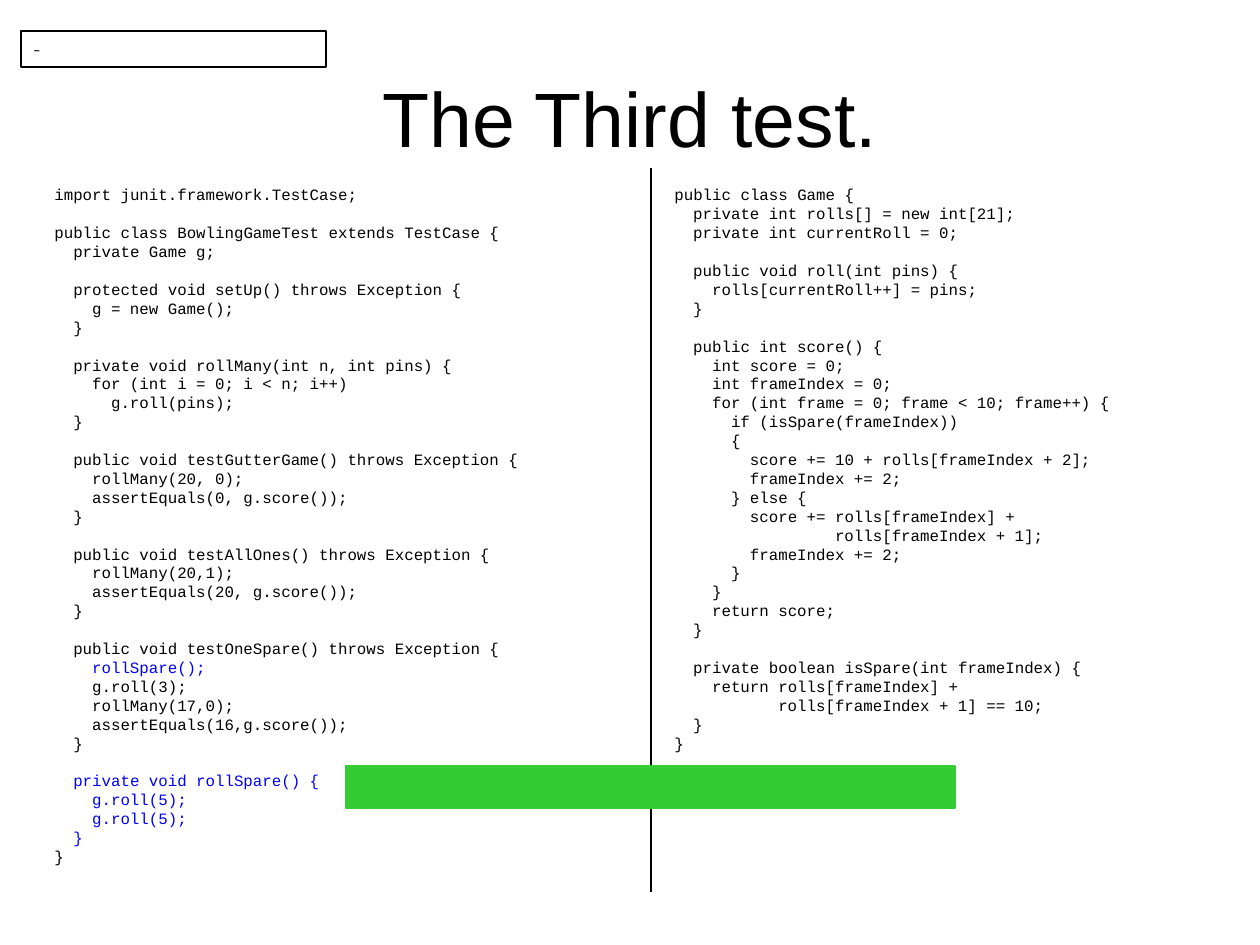
from pptx import Presentation
from pptx.dml.color import RGBColor
from pptx.enum.shapes import MSO_CONNECTOR, MSO_SHAPE
from pptx.enum.text import MSO_ANCHOR, PP_ALIGN
from pptx.oxml.ns import qn
from pptx.util import Pt
from lxml.etree import SubElement

PIXEL = 914400 // 126
CODE_SIZE = 9
CHARACTER_WIDTH = 0.6 * CODE_SIZE
LINE_HEIGHT = 1.2 * CODE_SIZE
BLUE_MARK = "*"

TEST_CODE = """import junit.framework.TestCase;

public class BowlingGameTest extends TestCase {
  private Game g;

  protected void setUp() throws Exception {
    g = new Game();
  }

  private void rollMany(int n, int pins) {
    for (int i = 0; i < n; i++)
      g.roll(pins);
  }

  public void testGutterGame() throws Exception {
    rollMany(20, 0);
    assertEquals(0, g.score());
  }

  public void testAllOnes() throws Exception {
    rollMany(20,1);
    assertEquals(20, g.score());
  }

  public void testOneSpare() throws Exception {
    *rollSpare();
    g.roll(3);
    rollMany(17,0);
    assertEquals(16,g.score());
  }

  *private void rollSpare() {
    *g.roll(5);
    *g.roll(5);
  *}
}"""

GAME_CODE = """public class Game {
  private int rolls[] = new int[21];
  private int currentRoll = 0;

  public void roll(int pins) {
    rolls[currentRoll++] = pins;
  }

  public int score() {
    int score = 0;
    int frameIndex = 0;
    for (int frame = 0; frame < 10; frame++) {
      if (isSpare(frameIndex))
      {
        score += 10 + rolls[frameIndex + 2];
        frameIndex += 2;
      } else {
        score += rolls[frameIndex] +
                 rolls[frameIndex + 1];
        frameIndex += 2;
      }
    }
    return score;
  }

  private boolean isSpare(int frameIndex) {
    return rolls[frameIndex] +
           rolls[frameIndex + 1] == 10;
  }
}"""


def color(value):
    return RGBColor.from_string(value)


def write_text(paragraph, text, font="Arial", size=18, fill="000000",
               align=PP_ALIGN.LEFT, indent=0, before=0, line_height=None):
    paragraph.alignment = align
    paragraph.space_before = Pt(before)
    if line_height:
        paragraph.line_spacing = Pt(line_height)
    if indent:
        properties = paragraph._p.get_or_add_pPr()
        properties.set("marL", str(Pt(indent)))
        properties.set("indent", "0")
    run = paragraph.add_run()
    run.text = text
    run.font.name = font
    run.font.size = Pt(size)
    run.font.color.rgb = color(fill)


presentation = Presentation()
presentation.slide_width = 1260 * PIXEL
presentation.slide_height = 945 * PIXEL
slide = presentation.slides.add_slide(presentation.slide_layouts[5])

title = slide.shapes.title
title.left, title.top, title.width, title.height = [
    value * PIXEL for value in (63, 38, 1134, 157)]
title.text_frame.vertical_anchor = MSO_ANCHOR.MIDDLE
write_text(title.text_frame.paragraphs[0], "The Third test.", size=44,
           align=PP_ALIGN.CENTER)

for code, left, height in ((TEST_CODE, 42, 690), (GAME_CODE, 662, 577)):
    code_box = slide.shapes.add_textbox(
        left * PIXEL, 179 * PIXEL, 557 * PIXEL, height * PIXEL)
    frame = code_box.text_frame
    frame.word_wrap = True
    paragraph = frame.paragraphs[0]
    gap = 0
    for number, line in enumerate(code.split("\n")):
        if not line:
            gap = LINE_HEIGHT
            continue
        if number:
            paragraph = frame.add_paragraph()
        statement = line.lstrip()
        write_text(paragraph, statement.lstrip(BLUE_MARK),
                   font="Courier New", size=CODE_SIZE,
                   fill="0000FF" if statement.startswith(BLUE_MARK) else "000000",
                   indent=(len(line) - len(statement)) * CHARACTER_WIDTH,
                   before=gap, line_height=LINE_HEIGHT)
        gap = 0

divider = slide.shapes.add_connector(
    MSO_CONNECTOR.STRAIGHT, 651 * PIXEL, 168 * PIXEL, 651 * PIXEL, 892 * PIXEL)
divider.line.color.rgb = color("000000")
divider.line.width = Pt(0.75)
SubElement(divider._element.spPr, qn("a:effectLst"))

boxes = []
for left, top, width, height, fill, outline in (
        (21, 31, 305, 36, None, "000000"),
        (346, 766, 609, 42, "33CC33", "33CC33")):
    box = slide.shapes.add_shape(
        MSO_SHAPE.RECTANGLE, left * PIXEL, top * PIXEL,
        width * PIXEL, height * PIXEL)
    box.shadow.inherit = False
    if fill:
        box.fill.solid()
        box.fill.fore_color.rgb = color(fill)
    else:
        box.fill.background()
    box.line.color.rgb = color(outline)
    box.line.width = Pt(0.75)
    boxes.append(box)

note_box, green_bar = boxes
write_text(note_box.text_frame.paragraphs[0], "-", font="Comic Neue", size=10)

presentation.save("out.pptx")
